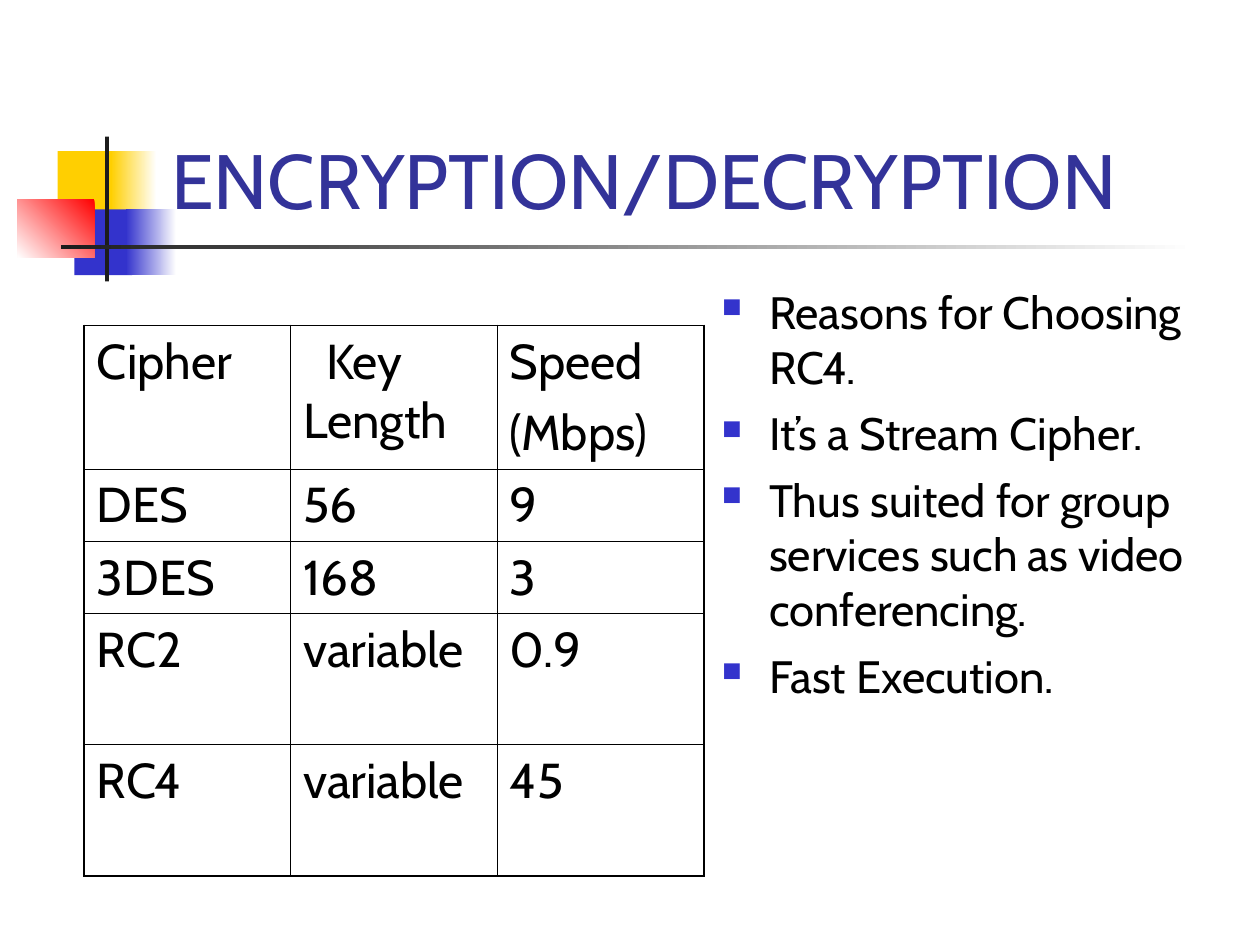
from lxml import etree
from pptx import Presentation
from pptx.dml.color import RGBColor
from pptx.enum import shapes, text
from pptx.oxml import ns
from pptx.util import Pt

FONT = "Cabin"
COLORS = {
    "yellow": "FFCF01", "blue": "3333CC", "red": "FF0000", "white": "FFFFFF",
    "bar": "1C1C1C", "title": "333399", "ink": "000000",
}

TITLE = "ENCRYPTION/DECRYPTION"
REASONS = [
    "Reasons for Choosing RC4.",
    "It’s a Stream Cipher.",
    "Thus suited for group services such as video conferencing.",
    "Fast Execution.",
]
CIPHERS = [
    ["Cipher", "Key Length", "Speed\n(Mbps)"],
    ["DES", "56", "9"],
    ["3DES", "168", "3"],
    ["RC2", "variable", "0.9"],
    ["RC4", "variable", "45"],
]
ROW_HEIGHTS = [82, 41, 41, 75, 75]
COLUMN_WIDTH = 118
KEY_INDENT = 13

# left, top, width, height, colours (two make a gradient), clockwise angle
ORNAMENT = [
    (33, 86.4, 34.5, 37.5, ["yellow"], 0),
    (63.4, 86.4, 26, 37.5, ["white", "yellow"], 180),
    (42.5, 119.7, 33, 37.5, ["blue"], 0),
    (72, 119.7, 28.8, 37.5, ["white", "blue"], 180),
    (10, 113.8, 44, 33.4, ["red", "white"], 135),
    (60, 78, 2.3, 82.8, ["bar"], 0),
    (34.8, 140.1, 648, 2.5, ["white", "bar"], 180),
]


def rgb(name):
    return RGBColor.from_string(COLORS[name])


def add_element(parent, tag, **attributes):
    return etree.SubElement(parent, ns.qn(tag), attributes)


def add_run(paragraph, words, size, color):
    run = paragraph.add_run()
    run.text = words
    run.font.name, run.font.size = FONT, Pt(size)
    run.font.color.rgb = rgb(color)


def add_frame(slide, left, top, width, height, anchor):
    frame = slide.shapes.add_textbox(Pt(left), Pt(top), Pt(width), Pt(height)).text_frame
    frame.word_wrap = True
    frame.auto_size = text.MSO_AUTO_SIZE.NONE
    frame.vertical_anchor = anchor
    return frame


def add_paragraphs(frame, lines, size):
    """Write one spaced paragraph per line and return the paragraphs."""
    for number, line in enumerate(lines):
        paragraph = frame.add_paragraph() if number else frame.paragraphs[0]
        paragraph.space_before = Pt(7)
        add_run(paragraph, line, size, "ink")
    return frame.paragraphs


def add_ornament(slide):
    for left, top, width, height, names, angle in ORNAMENT:
        block = slide.shapes.add_shape(
            shapes.MSO_SHAPE.RECTANGLE, Pt(left), Pt(top), Pt(width), Pt(height))
        block.shadow.inherit = False
        block.line.fill.background()
        if len(names) == 1:
            block.fill.solid()
            block.fill.fore_color.rgb = rgb(names[0])
            continue
        block.fill.gradient()
        block.fill.gradient_angle = 360 - angle
        for stop, name, position in zip(block.fill.gradient_stops, names, (0, 1)):
            stop.color.rgb = rgb(name)
            stop.position = position


def add_reasons(slide):
    frame = add_frame(slide, 405.4, 159, 300, 324, text.MSO_ANCHOR.TOP)
    for paragraph in add_paragraphs(frame, REASONS, 25.9):
        properties = paragraph._p.get_or_add_pPr()
        properties.set("marL", str(Pt(27)))
        properties.set("indent", str(-Pt(27)))
        bullet_color = add_element(properties, "a:buClr")
        add_element(bullet_color, "a:srgbClr", val=COLORS["blue"])
        add_element(properties, "a:buSzPct", val="60000")
        add_element(properties, "a:buChar", char="■")


def set_borders(cell, outer_sides):
    properties = cell._tc.get_or_add_tcPr()
    for side, outer in zip("LRTB", outer_sides):
        width = Pt(1.08 if outer else 0.45)
        border = add_element(properties, f"a:ln{side}", w=str(width))
        fill = add_element(border, "a:solidFill")
        add_element(fill, "a:srgbClr", val=COLORS["ink"])


def add_ciphers(slide):
    rows, columns = len(CIPHERS), len(CIPHERS[0])
    table = slide.shapes.add_table(
        rows, columns, Pt(48.2), Pt(186), Pt(COLUMN_WIDTH * columns), Pt(sum(ROW_HEIGHTS))).table
    table.first_row = table.horz_banding = False
    for column in table.columns:
        column.width = Pt(COLUMN_WIDTH)
    for r, (height, values) in enumerate(zip(ROW_HEIGHTS, CIPHERS)):
        table.rows[r].height = Pt(height)
        for c, value in enumerate(values):
            cell = table.cell(r, c)
            add_paragraphs(cell.text_frame, value.split("\n"), 28)
            set_borders(cell, (c == 0, c == columns - 1, r == 0, r == rows - 1))
            cell.fill.background()
    key_heading = table.cell(0, 1).text_frame.paragraphs[0]
    key_heading._p.get_or_add_pPr().set("indent", str(Pt(KEY_INDENT)))


def main():
    deck = Presentation()
    deck.slide_width, deck.slide_height = Pt(720), Pt(540)
    slide = deck.slides.add_slide(deck.slide_layouts[6])
    add_ornament(slide)
    heading = add_frame(slide, 90.7, 16.6, 613.4, 115.2, text.MSO_ANCHOR.BOTTOM)
    add_run(heading.paragraphs[0], TITLE, 44, "title")
    add_reasons(slide)
    add_ciphers(slide)
    deck.save("out.pptx")


if __name__ == "__main__":
    main()
